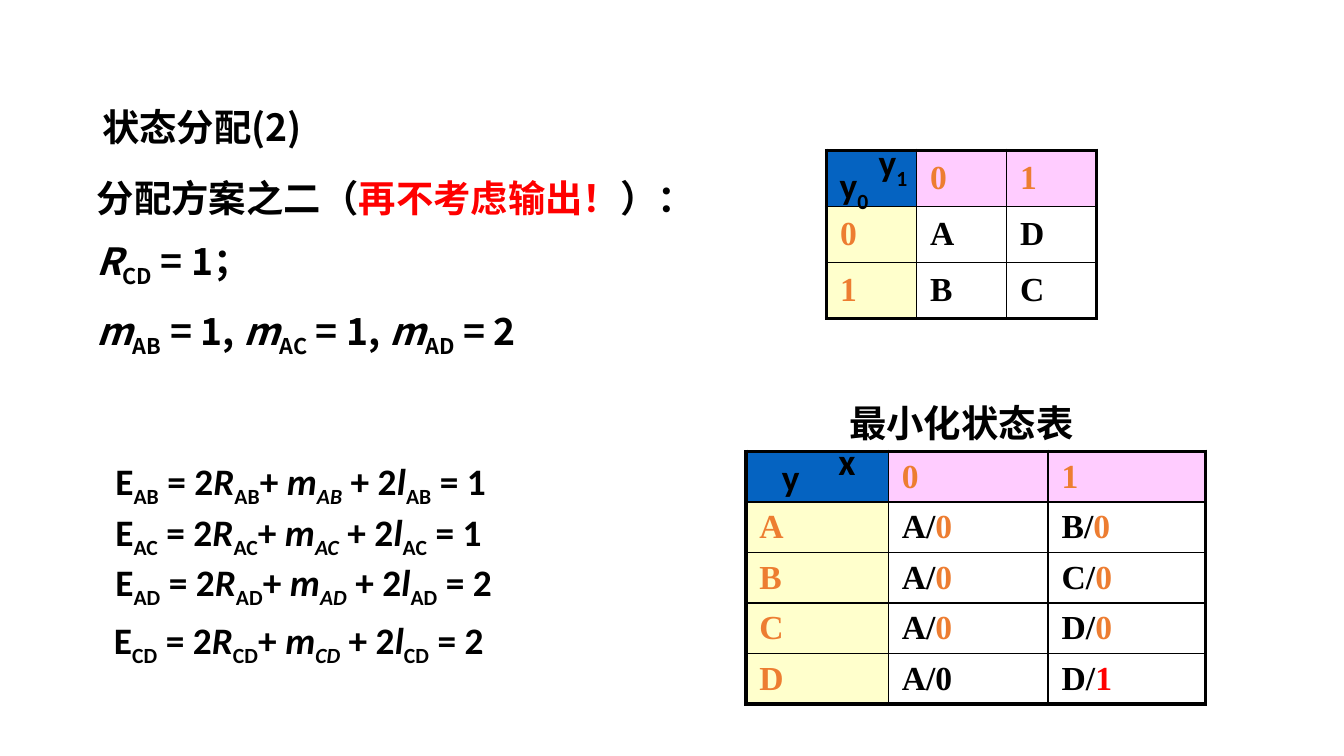
from dataclasses import dataclass
from typing import NamedTuple

from lxml.etree import SubElement
from pptx import Presentation
from pptx.dml.color import RGBColor
from pptx.enum.text import MSO_ANCHOR, PP_ALIGN
from pptx.oxml.ns import qn
from pptx.util import Inches, Pt

COLORS = {
    "ink": "000000", "red": "FF0000", "orange": "ED7D31", "blue": "0563C1",
    "pink": "FFCCFF", "cream": "FFFFCC", "white": "FFFFFF",
}
HAN, SANS, SERIF = "Noto Sans CJK JP", "Calibri", "Times New Roman"
THIN, THICK = 1, 2.25


class Run(NamedTuple):
    text: str
    color: str = "ink"
    tilt: bool = False
    sub: bool = False


@dataclass
class Label:
    left: float
    top: float
    width: float
    height: float
    runs: list[Run]
    font: str = SANS


@dataclass
class Grid:
    left: float
    top: float
    widths: list[float]
    height: float
    rows: list[list[list[Run]]]


def paint(name: str) -> RGBColor:
    return RGBColor.from_string(COLORS[name])


def add_runs(para, runs: list[Run], font: str, size: float = 20) -> None:
    for part in runs:
        run = para.add_run()
        run.text = part.text
        run.font.size = Pt(size)
        run.font.bold = True
        run.font.italic = part.tilt
        run.font.color.rgb = paint(part.color)
        run.font.name = font
        props = run.font._element
        SubElement(props, qn("a:ea")).set("typeface", font)
        if part.sub:
            props.set("baseline", "-25000")


def place(shape, left: float, top: float, width: float, height: float) -> None:
    shape.left, shape.top = Inches(left), Inches(top)
    shape.width, shape.height = Inches(width), Inches(height)


def add_label(shapes, label: Label) -> None:
    box = shapes.add_textbox(Inches(label.left), Inches(label.top),
                             Inches(label.width), Inches(label.height))
    box.text_frame.word_wrap = True
    add_runs(box.text_frame.paragraphs[0], label.runs, label.font)


def add_edge(cell, side: str, width: float) -> None:
    line = SubElement(cell._tc.get_or_add_tcPr(), qn(f"a:ln{side}"), w=str(Pt(width)))
    fill = SubElement(line, qn("a:solidFill"))
    SubElement(fill, qn("a:srgbClr"), val=COLORS["ink"])


def add_grid(shapes, grid: Grid) -> None:
    count, span = len(grid.rows), len(grid.widths)
    frame = shapes.add_table(count, span, Inches(grid.left), Inches(grid.top),
                             Inches(sum(grid.widths)), Inches(grid.height))
    table = frame.table
    table.first_row = table.horz_banding = False
    for col, width in zip(table.columns, grid.widths):
        col.width = Inches(width)
    for y, row in enumerate(grid.rows):
        table.rows[y].height = Inches(grid.height / count)
        for x, runs in enumerate(row):
            cell = table.cell(y, x)
            outer = {"L": x == 0, "R": x == span - 1, "T": y == 0, "B": y == count - 1}
            for side, edge in outer.items():
                add_edge(cell, side, THICK if edge else THIN)
            tone = ("pink" if x else "blue") if y == 0 else ("white" if x else "cream")
            cell.fill.solid()
            cell.fill.fore_color.rgb = paint(tone)
            cell.vertical_anchor = MSO_ANCHOR.MIDDLE
            cell.margin_left = cell.margin_right = Inches(0.1)
            cell.margin_top = cell.margin_bottom = Inches(0.04 if runs else 0)
            add_runs(cell.text_frame.paragraphs[0], runs, SERIF, 18)


def term(name: str, pair: str, lean: bool = False) -> list[Run]:
    return [Run(name, tilt=name != "E"), Run(pair, tilt=lean, sub=True)]


def sum_up(pair: str, total: int) -> list[Run]:
    return [*term("E", pair), Run(" = 2"), *term("R", pair), Run("+ "),
            *term("m", pair, True), Run(" + 2"), *term("l", pair), Run(f" = {total}")]


def head(text: str) -> list[Run]:
    return [Run(text, "orange")]


def state(name: str, out: str, color: str = "orange") -> list[Run]:
    return [Run(f"{name}/"), Run(out, color)]


CODES = Grid(6.15, 1.12, [0.67] * 3, 1.25, [
    [[], head("0"), head("1")],
    [head("0"), [Run("A")], [Run("D")]],
    [head("1"), [Run("B")], [Run("C")]],
])
STATES = Grid(5.55, 3.36, [1.06, 1.19, 1.17], 1.88, [
    [[], head("0"), head("1")],
    [head("A"), state("A", "0"), state("B", "0")],
    [head("B"), state("A", "0"), state("C", "0")],
    [head("C"), state("A", "0"), state("D", "0")],
    [head("D"), [Run("A/0")], state("D", "1", "red")],
])
CORNERS = [
    [Label(6.14, 3.21, 0.67, 0.44, [Run("x")]),
     Label(5.72, 3.33, 0.67, 0.44, [Run("y")])],
    [Label(6.44, 0.99, 0.5, 0.44, [Run("y"), Run("1", sub=True)]),
     Label(6.15, 1.16, 0.67, 0.44, [Run("y"), Run("0", sub=True)])],
]
LABELS = [
    Label(6.22, 2.93, 2.75, 0.43, [Run("最小化状态表")], HAN),
    Label(0.76, 3.36, 4.67, 0.49, sum_up("AB", 1)),
    Label(0.76, 3.74, 4.67, 0.49, sum_up("AC", 1)),
    Label(0.76, 4.11, 4.67, 0.49, sum_up("AD", 2)),
    Label(0.75, 4.54, 4.67, 0.49, sum_up("CD", 2)),
]
PLAN = [
    [Run("分配方案之二（"), Run("再不考虑输出！", "red"), Run("）：")],
    [*term("R", "CD"), Run(" = 1；")],
    [*term("m", "AB"), Run(" = 1, "), *term("m", "AC"), Run(" = 1, "),
     *term("m", "AD"), Run(" = 2")],
]


def add_title(title) -> None:
    place(title, 0.59, 0.77, 3.25, 0.38)
    frame = title.text_frame
    frame.margin_left = Inches(0.17)
    frame.vertical_anchor = MSO_ANCHOR.MIDDLE
    para = frame.paragraphs[0]
    para.alignment = PP_ALIGN.LEFT
    para.line_spacing = 0.9
    add_runs(para, [Run("状态分配(2)")], HAN)


def add_plan(body) -> None:
    place(body, 0.62, 1.25, 4.87, 1.45)
    frame = body.text_frame
    for index, runs in enumerate(PLAN):
        para = frame.add_paragraph() if index else frame.paragraphs[0]
        props = para._p.get_or_add_pPr()
        props.set("marL", "0")
        props.set("indent", "0")
        SubElement(props, qn("a:buNone"))
        para.line_spacing = 1.0
        para.space_before = Pt(10 if index else 0)
        add_runs(para, runs, HAN)


def main() -> None:
    deck = Presentation()
    deck.slide_width = Inches(10)
    deck.slide_height = deck.slide_width * 9 // 16
    slide = deck.slides.add_slide(deck.slide_layouts[1])
    add_title(slide.shapes.title)
    add_plan(slide.placeholders[1])
    for grid in (STATES, CODES):
        add_grid(slide.shapes, grid)
    for pair in CORNERS:
        group = slide.shapes.add_group_shape()
        for label in pair:
            add_label(group.shapes, label)
    for label in LABELS:
        add_label(slide.shapes, label)
    deck.save("out.pptx")


if __name__ == "__main__":
    main()
